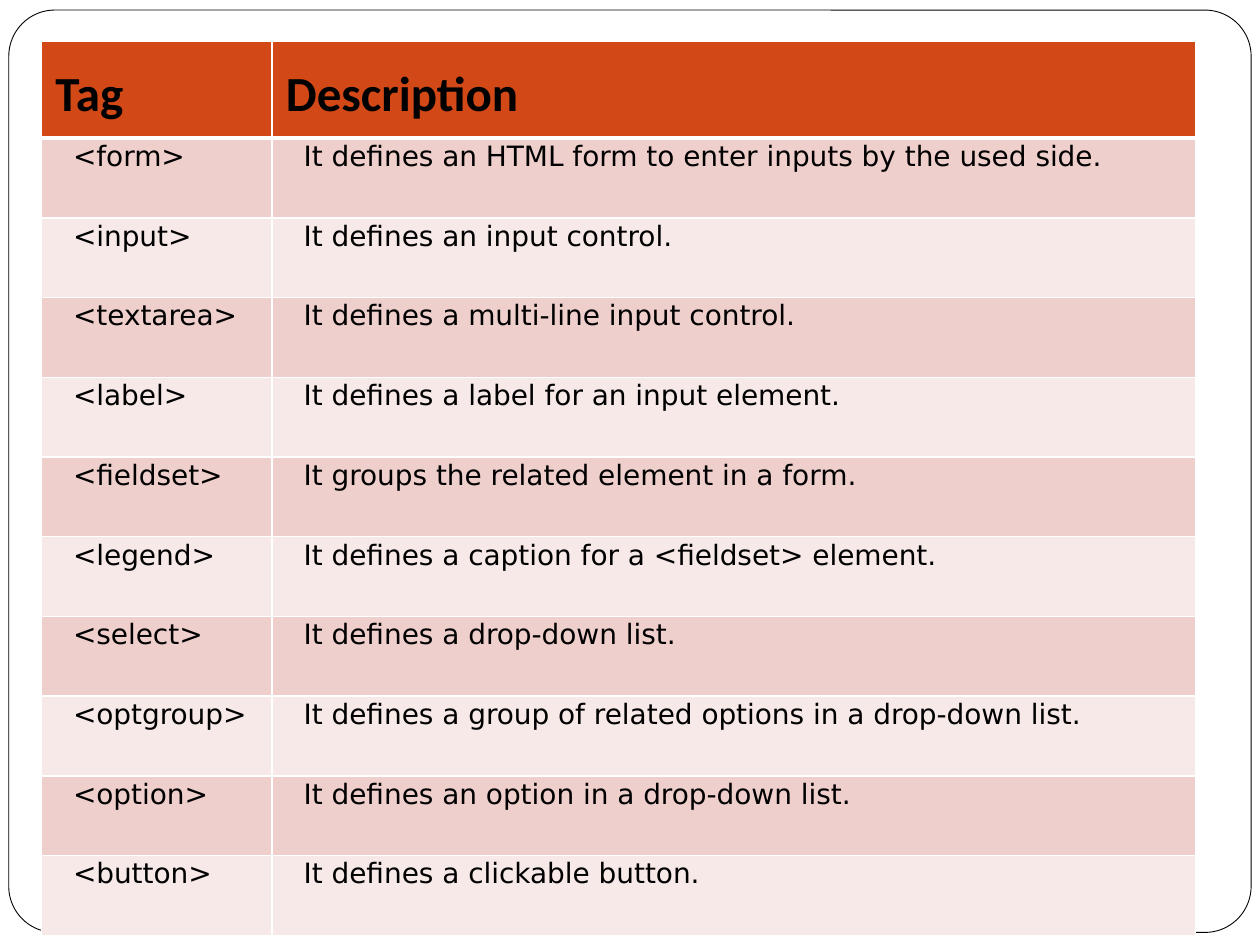
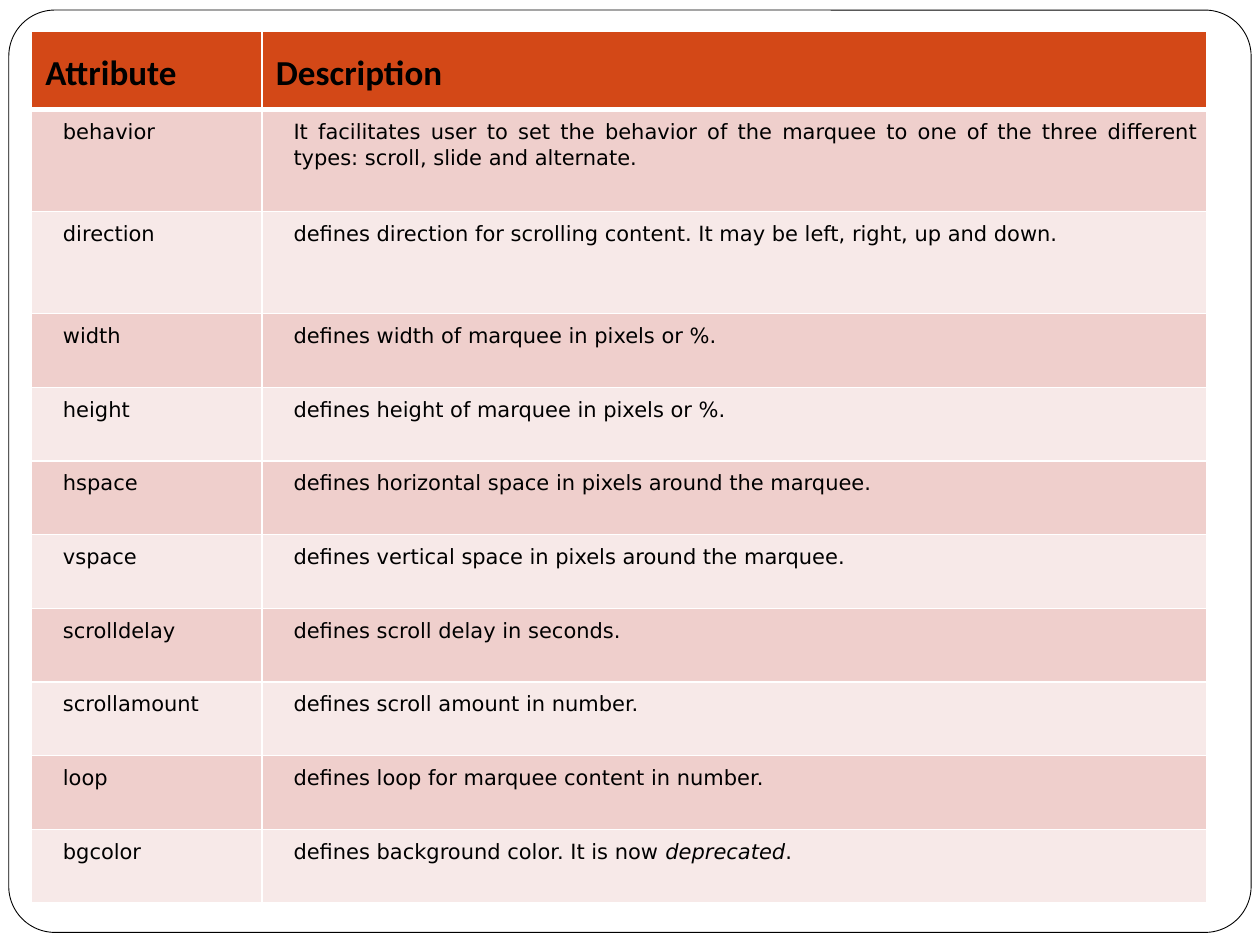
from pptx import Presentation
from pptx.dml.color import RGBColor as Rgb
from pptx.enum.shapes import MSO_SHAPE as Shape
from pptx.enum.text import PP_ALIGN as Align
from pptx.util import Inches, Pt
from lxml.etree import SubElement as Sub
from pptx.oxml.ns import qn


def color(code):
    return Rgb.from_string(code)


class Deck:
    ink, paper, head = "000000", "FFFFFF", "D34817"
    bands = ("EFCFCC", "F7E9E8")
    head_font, body_font = "Calibri", "DejaVu Sans"

    def __init__(self):
        self.prs = Presentation()
        self.prs.slide_width, self.prs.slide_height = Inches(10), Inches(7.5)

    def page(self):
        self.slide = self.prs.slides.add_slide(self.prs.slide_layouts[6])
        self.frame()

    def frame(self):
        box = self.slide.shapes.add_shape(
            Shape.ROUNDED_RECTANGLE, Inches(0.07), Inches(0.08), Inches(9.86), Inches(7.32))
        box.adjustments[0] = 0.05
        box.shadow.inherit = False
        box.fill.solid()
        box.fill.fore_color.rgb = color(self.paper)
        box.line.color.rgb = color(self.ink)
        box.line.width = Pt(0.5)

    def border(self, cell, top, bottom):
        props = cell._tc.get_or_add_tcPr()
        for side, width in (("L", 1), ("R", 1), ("T", top), ("B", bottom)):
            line = Sub(props, qn("a:ln" + side), w=str(Pt(width)))
            Sub(Sub(line, qn("a:solidFill")), qn("a:srgbClr"), val=self.paper)

    def text(self, cell, parts, size, align, is_head):
        para = cell.text_frame.paragraphs[0]
        para.alignment = align
        para.space_after = Pt(10)
        para.line_spacing = 1.15 if is_head else Pt(14.9)
        if not is_head:
            para._p.get_or_add_pPr().set("marL", str(Inches(0.18)))
        # A plain string is one upright run; a tuple alternates upright and italic
        for i, part in enumerate((parts,) if isinstance(parts, str) else parts):
            run = para.add_run()
            run.text = part
            font = run.font
            font.name = self.head_font if is_head else self.body_font
            font.size, font.bold, font.italic = Pt(size), is_head, i % 2 == 1
            font.color.rgb = color(self.ink)

    def cell(self, cell, parts, row, size, align):
        is_head = row == 0
        inset = Inches(0.11 if is_head else 0.07)
        cell.margin_left = cell.margin_right = inset
        cell.margin_top = cell.margin_bottom = inset
        self.border(cell, 3 if row == 1 else 1, 3 if is_head else 1)
        cell.fill.solid()
        cell.fill.fore_color.rgb = color(self.head if is_head else self.bands[(row - 1) % 2])
        self.text(cell, parts, size, align, is_head)

    def table(self, rows, edge, widths, heights, sizes, align):
        grid = self.slide.shapes.add_table(
            len(rows), len(widths), Inches(edge), Inches(edge),
            Inches(sum(widths)), Inches(sum(heights))).table
        grid.first_row = grid.horz_banding = False
        for col, width in zip(grid.columns, widths):
            col.width = Inches(width)
        for r, (row, height) in enumerate(zip(rows, heights)):
            grid.rows[r].height = Inches(height)
            for c, parts in enumerate(row):
                self.cell(grid.cell(r, c), parts, r, sizes[0 if r == 0 else 1], align)


TAGS = [
    ("Tag", "Description"),
    ("<form>", "It defines an HTML form to enter inputs by the used side."),
    ("<input>", "It defines an input control."),
    ("<textarea>", "It defines a multi-line input control."),
    ("<label>", "It defines a label for an input element."),
    ("<fieldset>", "It groups the related element in a form."),
    ("<legend>", "It defines a caption for a <fieldset> element."),
    ("<select>", "It defines a drop-down list."),
    ("<optgroup>", "It defines a group of related options in a drop-down list."),
    ("<option>", "It defines an option in a drop-down list."),
    ("<button>", "It defines a clickable button."),
]

MARQUEE = [
    ("Attribute", "Description"),
    ("behavior", "It facilitates user to set the behavior of the marquee to one of "
                 "the three different types: scroll, slide and alternate."),
    ("direction", "defines direction for scrolling content. It may be left, right, up and down."),
    ("width", "defines width of marquee in pixels or %."),
    ("height", "defines height of marquee in pixels or %."),
    ("hspace", "defines horizontal space in pixels around the marquee."),
    ("vspace", "defines vertical space in pixels around the marquee."),
    ("scrolldelay", "defines scroll delay in seconds."),
    ("scrollamount", "defines scroll amount in number."),
    ("loop", "defines loop for marquee content in number."),
    ("bgcolor", ("defines background color. It is now ", "deprecated", ".")),
]


def main():
    deck = Deck()

    # Form tags: ten equal rows share the height below the header
    deck.page()
    deck.table(TAGS, 0.33, (1.83, 7.33), [0.67] + [(7 - 0.67) / 10] * 10,
               (28, 16), Align.LEFT)

    # Marquee attributes: two tall rows, then eight equal ones
    deck.page()
    tall = [0.62, 0.81, 0.81]
    deck.table(MARQUEE, 0.25, (1.83, 7.5), tall + [(6.92 - sum(tall)) / 8] * 8,
               (20, 12), Align.JUSTIFY)

    deck.prs.save("out.pptx")


if __name__ == "__main__":
    main()
